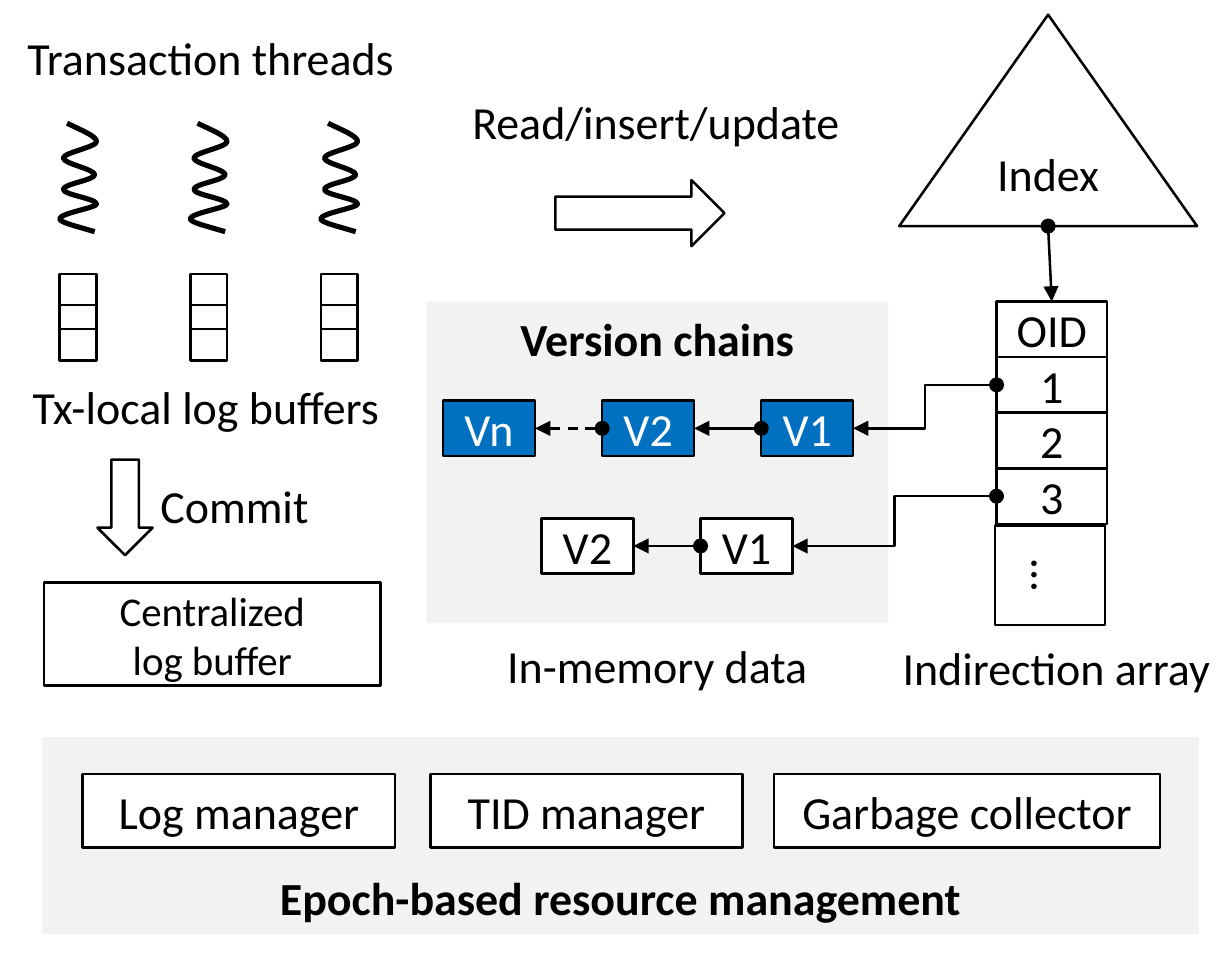
"""Draw the architecture of a multi-version in-memory database on one slide."""
from typing import NamedTuple

from pptx import Presentation
from pptx.dml.color import RGBColor as Rgb
from pptx.enum.dml import MSO_LINE as Dash
from pptx.enum.shapes import MSO_CONNECTOR as Connector, MSO_SHAPE as Preset
from pptx.enum.text import MSO_ANCHOR as Anchor, PP_ALIGN as Align
from pptx.oxml.ns import qn
from pptx.oxml.xmlchemy import OxmlElement
from pptx.util import Inches, Pt

COLORS = {"ink": "000000", "paper": "FFFFFF", "panel": "F2F2F2", "version": "0070C0"}
FONT = "Calibri"
CELL = Inches(0.01)
COLUMNS, ROWS = 670, 520
TOP, LEFT, RIGHT = 0, 1, 3
SQUIGGLE = [
    (4, 0), (12, 4), (20, 7), (20, 10), (20, 13), (2, 16), (2, 19), (2, 22),
    (19, 25), (19, 28), (19, 31), (2, 33), (2, 36), (2, 39), (20, 41), (20, 44),
    (20, 46), (0, 49), (0, 52), (0, 54), (9, 56), (19, 59),
]


class Box(NamedTuple):
    """An area of the slide in grid columns and rows."""
    left: float
    top: float
    width: float
    height: float

    def inside(self, column, row, width, height):
        """Return a box placed relative to this one."""
        return Box(self.left + column, self.top + row, width, height)

    def emu(self):
        """Return the box in slide units."""
        return [round(length * CELL) for length in self]


def color(name):
    """Look up a named colour."""
    return Rgb.from_string(COLORS[name])


def write(shape, text, size=18, ink="ink", bold=False, align=Align.CENTER, anchor=Anchor.MIDDLE, wrap=True):
    """Put formatted text into a shape, one paragraph per line."""
    frame = shape.text_frame
    frame.word_wrap = wrap
    frame.vertical_anchor = anchor
    frame.text = text
    for paragraph in frame.paragraphs:
        paragraph.alignment = align
        paragraph.font.name = FONT
        paragraph.font.size = Pt(size)
        paragraph.font.bold = bold
        paragraph.font.color.rgb = color(ink)


def add_block(slide, box, text="", preset=Preset.RECTANGLE, fill="paper", outlined=True, rotation=0, **style):
    """Add a filled preset shape with optional outline and text."""
    shape = slide.shapes.add_shape(preset, *box.emu())
    shape.shadow.inherit = False
    shape.rotation = rotation
    shape.fill.solid()
    shape.fill.fore_color.rgb = color(fill)
    if outlined:
        shape.line.color.rgb = color("ink")
        shape.line.width = Pt(1)
    else:
        shape.line.fill.background()
    if text:
        write(shape, text, **style)
    return shape


def add_label(slide, box, text, **style):
    """Add a text box."""
    write(slide.shapes.add_textbox(*box.emu()), text, anchor=Anchor.TOP, **style)


def add_squiggle(slide, box):
    """Add a wavy thread of cubic curves."""
    points = [tuple(box.inside(*point, 0, 0).emu()[:2]) for point in SQUIGGLE]
    builder = slide.shapes.build_freeform(*points[0])
    builder.add_line_segments(points[1:], close=False)
    shape = builder.convert_to_shape()
    shape.shadow.inherit = False
    shape.fill.background()
    shape.line.color.rgb = color("ink")
    shape.line.width = Pt(2)
    segments = shape._element.findall(f".//{qn('a:lnTo')}")
    for start in range(0, len(segments), 3):
        curve = OxmlElement("a:cubicBezTo")
        segments[start].addprevious(curve)
        for segment in segments[start:start + 3]:
            curve.append(segment[0])
            segment.getparent().remove(segment)


def add_pointer(slide, source, target, kind=Connector.STRAIGHT, dashed=False, downward=False):
    """Link two shapes with a line from a dot to an arrowhead."""
    pointer = slide.shapes.add_connector(kind, 0, 0, 0, 0)
    if downward:
        pointer.begin_x = source.left + source.width // 2
        pointer.begin_y = source.top + source.height
        pointer.end_connect(target, TOP)
    else:
        pointer.begin_connect(source, LEFT)
        pointer.end_connect(target, RIGHT)
    pointer.line.color.rgb = color("ink")
    pointer.line.width = Pt(1)
    if dashed:
        pointer.line.dash_style = Dash.DASH
    outline = pointer.line._get_or_add_ln()
    for tag, ending in (("a:headEnd", "oval"), ("a:tailEnd", "triangle")):
        end = OxmlElement(tag)
        end.set("type", ending)
        outline.append(end)
    pointer._element.spPr.append(OxmlElement("a:effectLst"))


def draw_threads(slide, box):
    """Draw the transaction threads above their local log buffers."""
    add_label(slide, box.inside(4, 0, 222, 40), "Transaction threads", align=Align.LEFT, wrap=False)
    add_block(slide, box.inside(0, 130, 222, 100), "Tx-local log buffers", outlined=False, anchor=Anchor.BOTTOM)
    for thread in range(3):
        column = 31.5 + 71 * thread
        add_squiggle(slide, box.inside(column, 56, 20, 59))
        for row in (138, 155, 168):
            add_block(slide, box.inside(column, row, 20, 17))


def draw_commit(slide, box):
    """Draw the commit step into the central log buffer."""
    add_block(slide, box.inside(48, 0, 111, 45), "Commit", outlined=False)
    add_block(slide, box.inside(18, 9, 52, 30), preset=Preset.RIGHT_ARROW, rotation=90)
    add_block(slide, box.inside(0, 65, 183, 56), "Centralized\nlog buffer", size=16)


def draw_access(slide, box):
    """Draw the access arrow with its caption."""
    add_label(slide, box.inside(0, 0, 222, 40), "Read/insert/update", align=Align.LEFT, wrap=False)
    add_block(slide, box.inside(55, 52, 92, 36), preset=Preset.RIGHT_ARROW)


def draw_index(slide, box):
    """Draw the index and its indirection array, and return the array cells."""
    index = add_block(slide, box.inside(15, 0, 162, 115), "Index", Preset.ISOSCELES_TRIANGLE)
    cells = [
        add_block(slide, box.inside(68, 156 + 30.25 * row, 60, 30.25), text)
        for row, text in enumerate(("OID", "1", "2", "3"))
    ]
    add_block(slide, box.inside(70, 275, 54, 60), "…", rotation=90)
    add_pointer(slide, index, cells[0], downward=True)
    add_label(slide, box.inside(0, 335, 201, 40), "Indirection array")
    return cells


def draw_chain(slide, box, names, **style):
    """Draw versions from newest at the right to oldest, and return the newest."""
    versions = [
        add_block(slide, box.inside(-86.5 * step, 0, 50, 30), name, **style)
        for step, name in enumerate(names)
    ]
    for source, target, name in zip(versions, versions[1:], names[1:]):
        add_pointer(slide, source, target, dashed=name == "Vn")
    return versions[0]


def draw_versions(slide, box):
    """Draw the version chains panel, and return the newest version of each chain."""
    add_block(slide, box.inside(0, 0, 251, 175), "Version chains", fill="panel", outlined=False,
              bold=True, anchor=Anchor.TOP)
    add_label(slide, box.inside(0, 178, 251, 40), "In-memory data")
    return [
        draw_chain(slide, box.inside(182, 54, 50, 30), ("V1", "V2", "Vn"), fill="version", ink="paper"),
        draw_chain(slide, box.inside(149, 118, 50, 30), ("V1", "V2")),
    ]


def draw_resources(slide, box):
    """Draw the resource management panel with its managers."""
    add_block(slide, box, "Epoch-based resource management", fill="panel", outlined=False,
              bold=True, anchor=Anchor.BOTTOM)
    for column, width, name in ((22, 170, "Log manager"), (211, 170, "TID manager"), (398, 210, "Garbage collector")):
        add_block(slide, box.inside(column, 20, width, 40), name)


presentation = Presentation()
presentation.slide_width, presentation.slide_height = COLUMNS * CELL, ROWS * CELL
slide = presentation.slides.add_slide(presentation.slide_layouts[6])
draw_threads(slide, Box(1, 11, 226, 230))
draw_commit(slide, Box(24, 252, 183, 121))
draw_access(slide, Box(247, 46, 222, 88))
newest = draw_versions(slide, Box(232, 164, 251, 218))
cells = draw_index(slide, Box(474, 8, 201, 375))
for cell, version in zip(cells[1::2], newest):
    add_pointer(slide, cell, version, Connector.ELBOW)
draw_resources(slide, Box(23, 401, 629, 107))
presentation.save("out.pptx")
